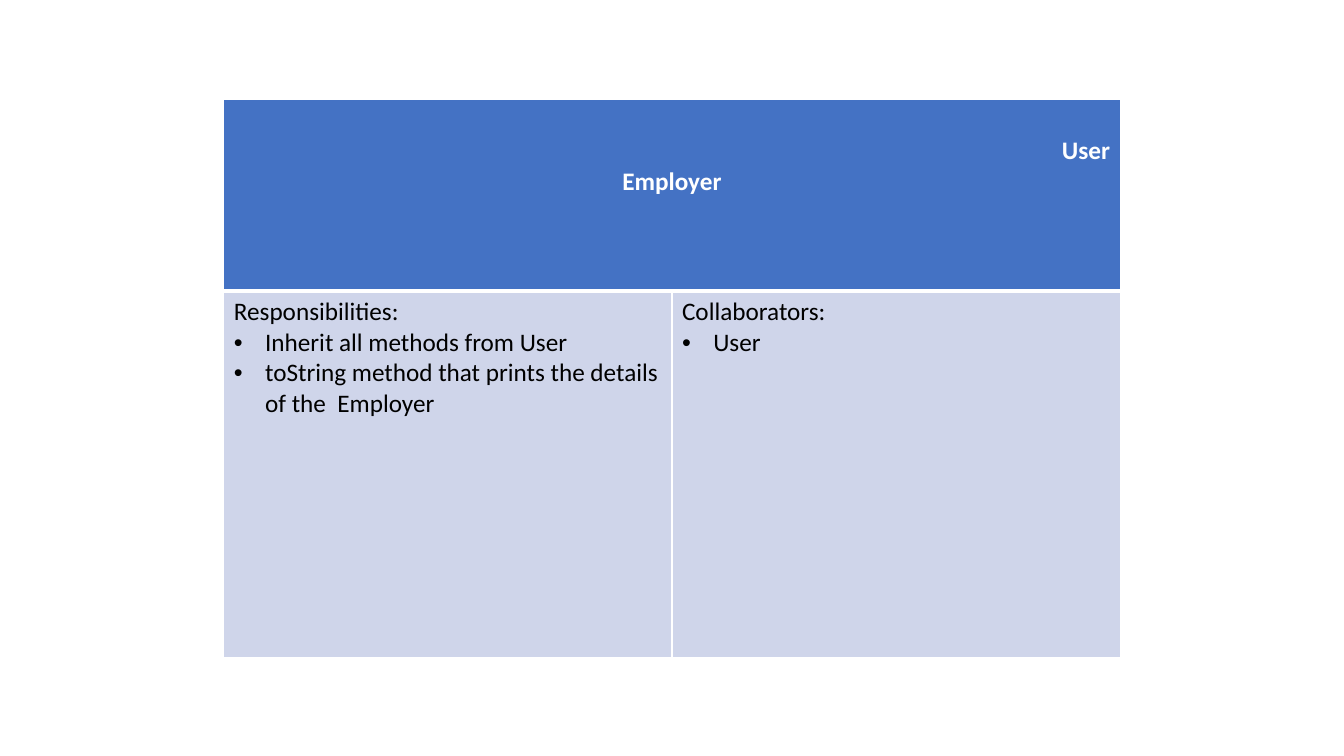
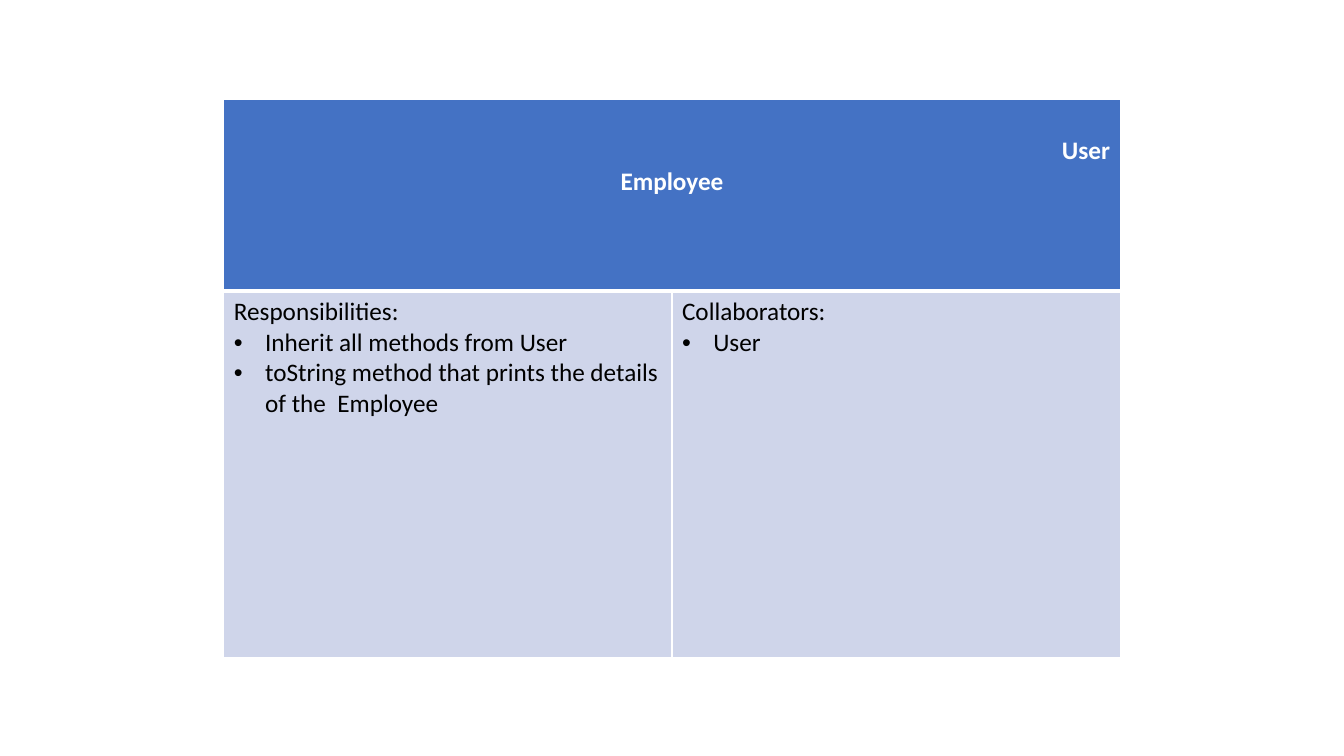
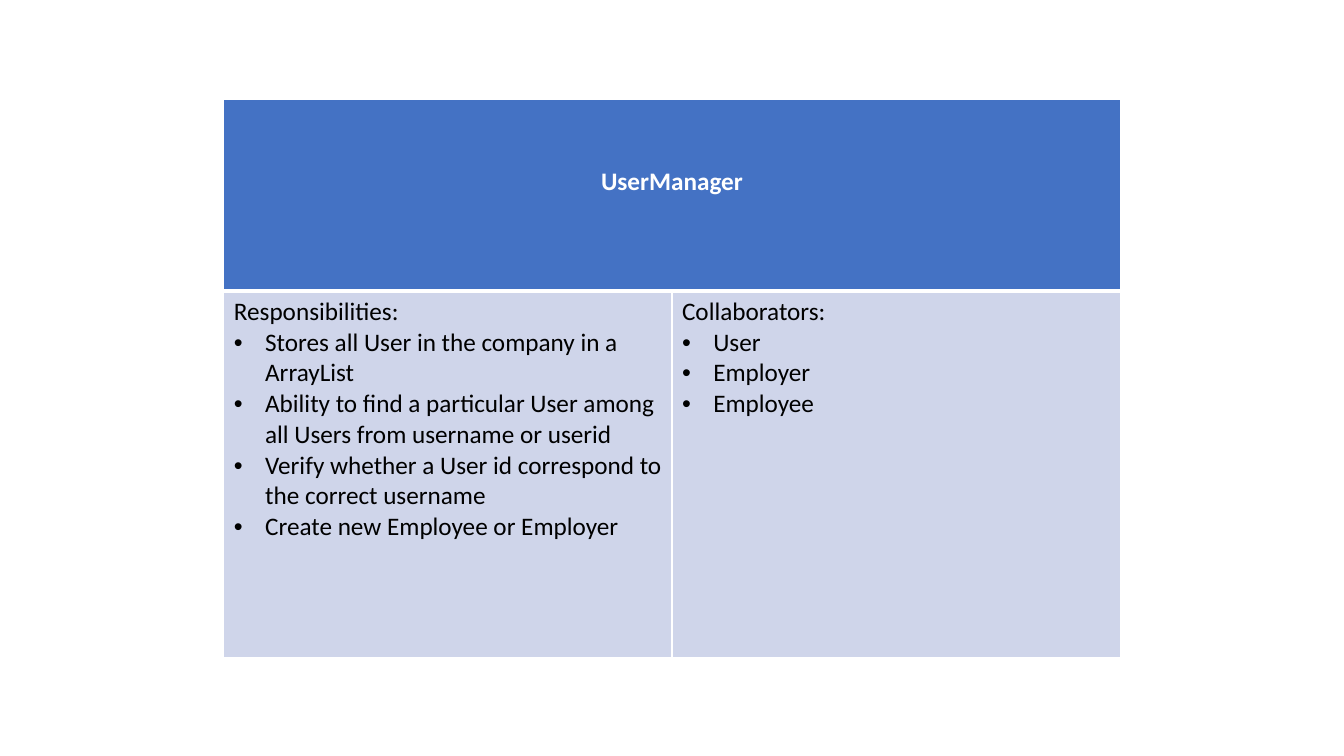
from lxml.etree import SubElement
from pptx import Presentation
from pptx.dml.color import RGBColor
from pptx.enum.text import PP_ALIGN as Align
from pptx.oxml.ns import qn
from pptx.util import Inches, Pt

WHITE = RGBColor(0xFF, 0xFF, 0xFF)
BLACK = RGBColor(0x00, 0x00, 0x00)
BLUE = RGBColor(0x44, 0x72, 0xC4)
PALE_BLUE = RGBColor(0xCF, 0xD5, 0xEA)


class CardDeck:
    """Builds class-responsibility-collaborator cards, one per slide."""

    font_name = "Calibri"
    font_size = Pt(18)
    line_height = 0.305
    cell_margin = 0.05
    indent = Inches(0.31)
    row_heights = (1.9, 3.63)

    def __init__(self):
        self.presentation = Presentation()
        self.presentation.slide_width = Inches(13.33)
        self.presentation.slide_height = Inches(7.5)
        self.slide = None

    def add_card(self, name, parent, responsibilities, collaborators):
        self.slide = self.presentation.slides.add_slide(self.presentation.slide_layouts[6])
        table = self.add_table()
        self.fill_header(table.cell(0, 0), name, parent)
        self.fill_list(table.cell(1, 0), "Responsibilities:", responsibilities)
        self.fill_list(table.cell(1, 1), "Collaborators:", collaborators)

    def add_table(self):
        frame = self.slide.shapes.add_table(
            2, 2, Inches(2.22), Inches(0.99), Inches(8.89), Inches(sum(self.row_heights)))
        table = frame.table
        table.horz_banding = False
        for row, height in zip(table.rows, self.row_heights):
            row.height = Inches(height)
        for column in range(2):
            self.style_cell(table.cell(0, column), BLUE, top=1, bottom=3)
            self.style_cell(table.cell(1, column), PALE_BLUE, top=3, bottom=1)
        table.cell(0, 0).merge(table.cell(0, 1))
        return table

    def style_cell(self, cell, color, top, bottom):
        properties = cell._tc.get_or_add_tcPr()
        for side, width in (("L", 1), ("R", 1), ("T", top), ("B", bottom)):
            line = SubElement(properties, qn(f"a:ln{side}"), w=str(Pt(width)))
            SubElement(SubElement(line, qn("a:solidFill")), qn("a:srgbClr"), val=str(WHITE))
        cell.fill.solid()
        cell.fill.fore_color.rgb = color

    def set_lines(self, cell, lines, color, bold):
        cell.text_frame.text = "\n".join(lines)
        for paragraph in cell.text_frame.paragraphs:
            for run in paragraph.runs:
                run.font.name = self.font_name
                run.font.size = self.font_size
                run.font.bold = bold
                run.font.color.rgb = color
        return cell.text_frame.paragraphs

    def fill_header(self, cell, name, parent):
        lines = [parent, name] if parent else [name]
        paragraphs = self.set_lines(cell, lines, WHITE, True)
        paragraphs[0].alignment = Align.RIGHT
        paragraphs[-1].alignment = Align.CENTER
        lines_above = 3 - len(lines)
        cell.margin_top = Inches(self.cell_margin + lines_above * self.line_height)

    def fill_list(self, cell, heading, items):
        paragraphs = self.set_lines(cell, [heading, *items], BLACK, False)
        for paragraph in paragraphs[1:]:
            self.add_bullet(paragraph)

    def add_bullet(self, paragraph):
        properties = paragraph._p.get_or_add_pPr()
        properties.set("marL", str(self.indent))
        properties.set("indent", str(-self.indent))
        SubElement(properties, qn("a:buFont"), typeface="Arial")
        SubElement(properties, qn("a:buChar"), char="•")


deck = CardDeck()
for role in ("Employer", "Employee"):
    deck.add_card(
        role, "User",
        ["Inherit all methods from User",
         f"toString method that prints the details of the  {role}"],
        ["User"])
deck.add_card(
    "UserManager", None,
    ["Stores all User in the company in a ArrayList",
     "Ability to find a particular User among all Users from username or userid",
     "Verify whether a User id correspond to the correct username",
     "Create new Employee or Employer"],
    ["User", "Employer", "Employee"])
deck.presentation.save("out.pptx")
